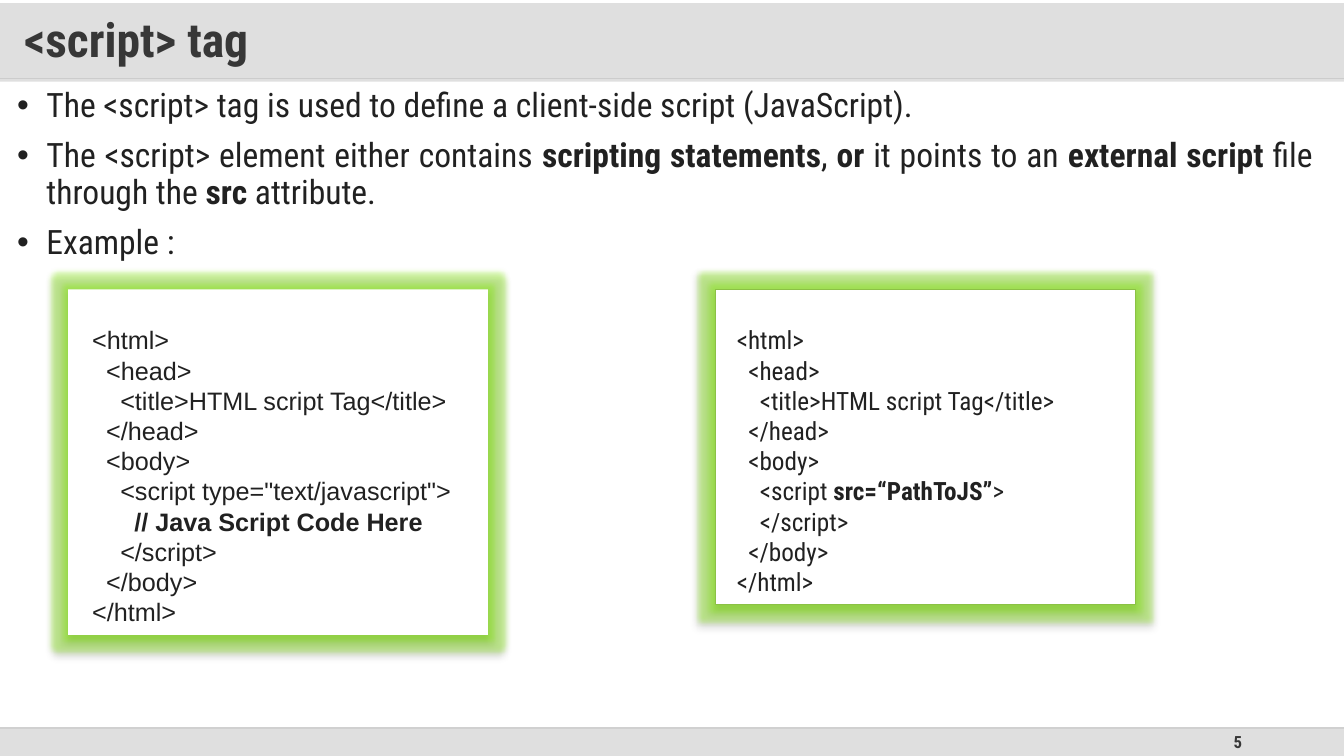
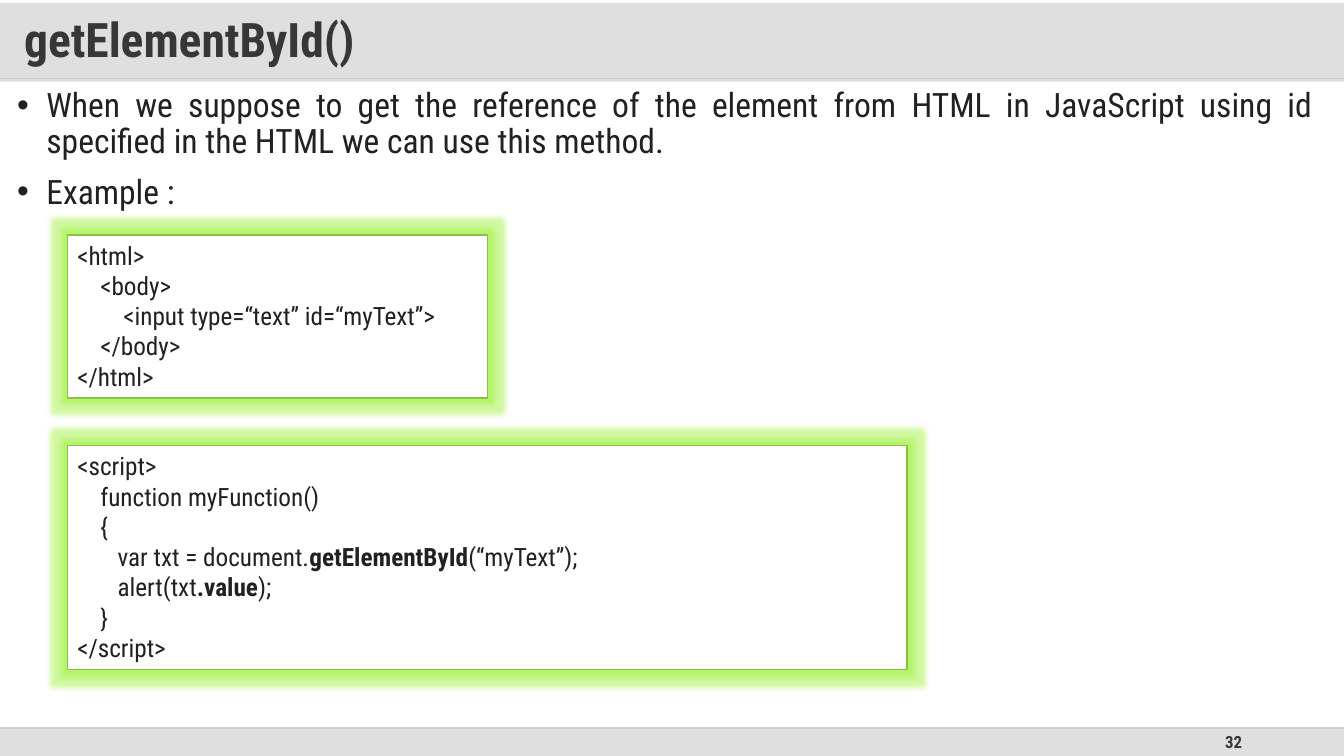
from dataclasses import dataclass

from lxml.etree import SubElement
from pptx import Presentation
from pptx.dml.color import RGBColor
from pptx.enum.shapes import MSO_CONNECTOR, MSO_SHAPE
from pptx.enum.text import MSO_ANCHOR, PP_ALIGN
from pptx.oxml.ns import qn
from pptx.util import Cm, Pt


@dataclass(frozen=True)
class Theme:
    font: str = "Roboto Condensed"
    alt_font: str = "Arial"
    text: str = "212121"
    heading: str = "373737"
    title_band: str = "C0C0C0"
    footer_band: str = "DFDFDF"
    title_rule: str = "D9D9D9"
    footer_rule: str = "BFBFBF"
    box_fill: str = "FFFFFF"
    box_line: str = "8BC145"
    glow: str = "8DEF17"
    shadow: str = "000000"
    title_size: int = 34
    body_size: int = 24
    code_size: int = 18
    number_size: int = 12


theme = Theme()
SPACE_WIDTH = {theme.font: 0.145, theme.alt_font: 0.177}


def write(p, text, size, color=theme.text, font=theme.font, bold=False):
    for i, part in enumerate(text.split("**")):
        if part:
            r = p.add_run()
            r.text = part
            r.font.name = font
            r.font.size = Pt(size)
            r.font.bold = bold or i % 2 == 1
            r.font.color.rgb = RGBColor.from_string(color)


def add_color(parent, color, alpha):
    clr = SubElement(parent, qn("a:srgbClr"), val=color)
    SubElement(clr, qn("a:alpha"), val=str(alpha * 1000))


slides = [
    {
        "title": "<script> tag",
        "number": "5",
        "bullets": [
            "The <script> tag is used to define a client-side script (JavaScript).",
            "The <script> element either contains **scripting statements**, **or** it points to an "
            "**external script **file through the **src** attribute.",
            "Example :",
        ],
        "boxes": [
            {
                "at": (1.72, 7.29, 10.58, 8.71),
                "font": theme.alt_font,
                "line": False,
                "shadow": True,
                "top": 0.89,
                "code": """\
  <html>
    <head>
      <title>HTML script Tag</title>
    </head>
    <body>
      <script type="text/javascript">
        **// Java Script Code Here**
      </script>
    </body>
  </html>""",
            },
            {
                "at": (18.03, 7.29, 10.58, 7.95),
                "font": theme.font,
                "line": True,
                "shadow": True,
                "top": 0.89,
                "code": """\
  <html>
    <head>
      <title>HTML script Tag</title>
    </head>
    <body>
      <script **src=“PathToJS”**>
      </script>
    </body>
  </html>""",
            },
        ],
    },
    {
        "title": "getElementById()",
        "number": "32",
        "bullets": [
            "When we suppose to get the reference of the element from HTML in JavaScript "
            "using id specified in the HTML we can use this method.",
            "Example :",
        ],
        "boxes": [
            {
                "at": (1.7, 5.92, 10.58, 4.11),
                "font": theme.font,
                "line": True,
                "shadow": False,
                "top": 0.13,
                "code": """\
<html>
    <body>
        <input type=“text” id=“myText”>
    </body>
</html>""",
            },
            {
                "at": (1.7, 11.23, 21.16, 5.64),
                "font": theme.font,
                "line": True,
                "shadow": False,
                "top": 0.13,
                "code": """\
<script>
    function myFunction()
    {
       var txt = document.**getElementById**(“myText”);
       alert(txt**.value**);
    }
</script>""",
            },
        ],
    },
]

prs = Presentation()
prs.slide_width = Cm(33.87)
prs.slide_height = Cm(19.05)
width = prs.slide_width

for content in slides:
    s = prs.slides.add_slide(prs.slide_layouts[6])

    footer = s.shapes.add_shape(MSO_SHAPE.RECTANGLE, 0, Cm(18.34), width, Cm(0.71))
    footer.shadow.inherit = False
    footer.fill.solid()
    footer.fill.fore_color.rgb = RGBColor.from_string(theme.footer_band)
    footer.line.fill.background()

    number = s.shapes.add_textbox(Cm(23.93), Cm(18.34), Cm(7.62), Cm(0.71))
    tf = number.text_frame
    tf.word_wrap = True
    tf.vertical_anchor = MSO_ANCHOR.MIDDLE
    tf.paragraphs[0].alignment = PP_ALIGN.RIGHT
    write(tf.paragraphs[0], content["number"], theme.number_size, theme.heading, bold=True)

    for y, color, alpha in ((1.98, theme.title_rule, 100), (18.34, theme.footer_rule, 70)):
        rule = s.shapes.add_connector(MSO_CONNECTOR.STRAIGHT, 0, Cm(y), width, Cm(y))
        rule.line.width = Pt(1)
        rule.line.fill.solid()
        fill = rule.line.fill._xPr.find(qn("a:solidFill"))
        add_color(fill, color, alpha)
        SubElement(rule._element.spPr, qn("a:effectLst"))

    title = s.shapes.add_shape(MSO_SHAPE.RECTANGLE, 0, Cm(0.08), width, Cm(1.98))
    title.shadow.inherit = False
    title.fill.solid()
    add_color(title._element.spPr.find(qn("a:solidFill")), theme.title_band, 50)
    title.line.fill.background()
    tf = title.text_frame
    tf.word_wrap = True
    tf.vertical_anchor = MSO_ANCHOR.MIDDLE
    tf.margin_left = tf.margin_right = Cm(0.61)
    tf.margin_top = tf.margin_bottom = Cm(0.3)
    p = tf.paragraphs[0]
    p.alignment = PP_ALIGN.LEFT
    p.line_spacing = 0.9
    write(p, content["title"], theme.title_size, theme.heading, bold=True)

    body = s.shapes.add_textbox(Cm(0.18), Cm(2.11), Cm(33.15), Cm(15.52))
    tf = body.text_frame
    tf.word_wrap = True
    for i, bullet in enumerate(content["bullets"]):
        p = tf.add_paragraph() if i else tf.paragraphs[0]
        p.alignment = PP_ALIGN.JUSTIFY
        p.line_spacing = 0.9
        p.space_before = Pt(10)
        pPr = p._p.get_or_add_pPr()
        pPr.set("marL", str(Cm(0.74)))
        pPr.set("indent", str(-Cm(0.74)))
        add_color(SubElement(pPr, qn("a:buClr")), theme.text, 100)
        SubElement(pPr, qn("a:buFont"), typeface=theme.alt_font)
        SubElement(pPr, qn("a:buChar"), char="•")
        write(p, bullet, theme.body_size)

    for box in content["boxes"]:
        sp = s.shapes.add_shape(MSO_SHAPE.RECTANGLE, *map(Cm, box["at"]))
        sp.fill.solid()
        sp.fill.fore_color.rgb = RGBColor.from_string(theme.box_fill)
        if box["line"]:
            sp.line.color.rgb = RGBColor.from_string(theme.box_line)
            sp.line.width = Pt(1)
        else:
            sp.line.fill.background()
        sp.shadow.inherit = False
        effects = sp._element.spPr.find(qn("a:effectLst"))
        add_color(SubElement(effects, qn("a:glow"), rad=str(Pt(8))), theme.glow, 40)
        if box["shadow"]:
            shadow = SubElement(
                effects, qn("a:outerShdw"), blurRad=str(Pt(4)), dist=str(Pt(3)),
                dir="5400000", rotWithShape="0",
            )
            add_color(shadow, theme.shadow, 40)

        tf = sp.text_frame
        tf.word_wrap = True
        tf.vertical_anchor = MSO_ANCHOR.TOP
        tf.margin_top = Cm(box["top"])
        for i, line in enumerate(box["code"].splitlines()):
            p = tf.add_paragraph() if i else tf.paragraphs[0]
            p.alignment = PP_ALIGN.LEFT
            text = line.lstrip()
            indent = (len(line) - len(text)) * SPACE_WIDTH[box["font"]]
            p._p.get_or_add_pPr().set("marL", str(Cm(indent)))
            write(p, text, theme.code_size, font=box["font"])

prs.save("out.pptx")
